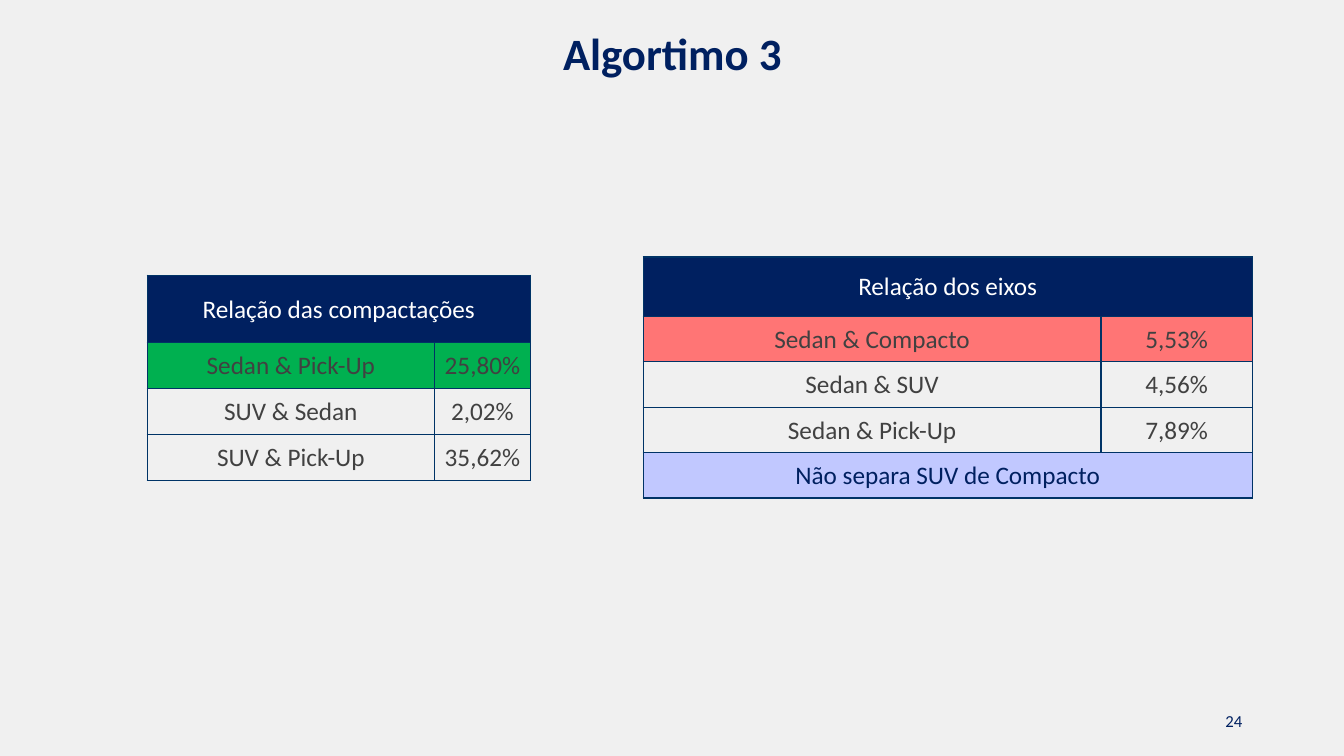
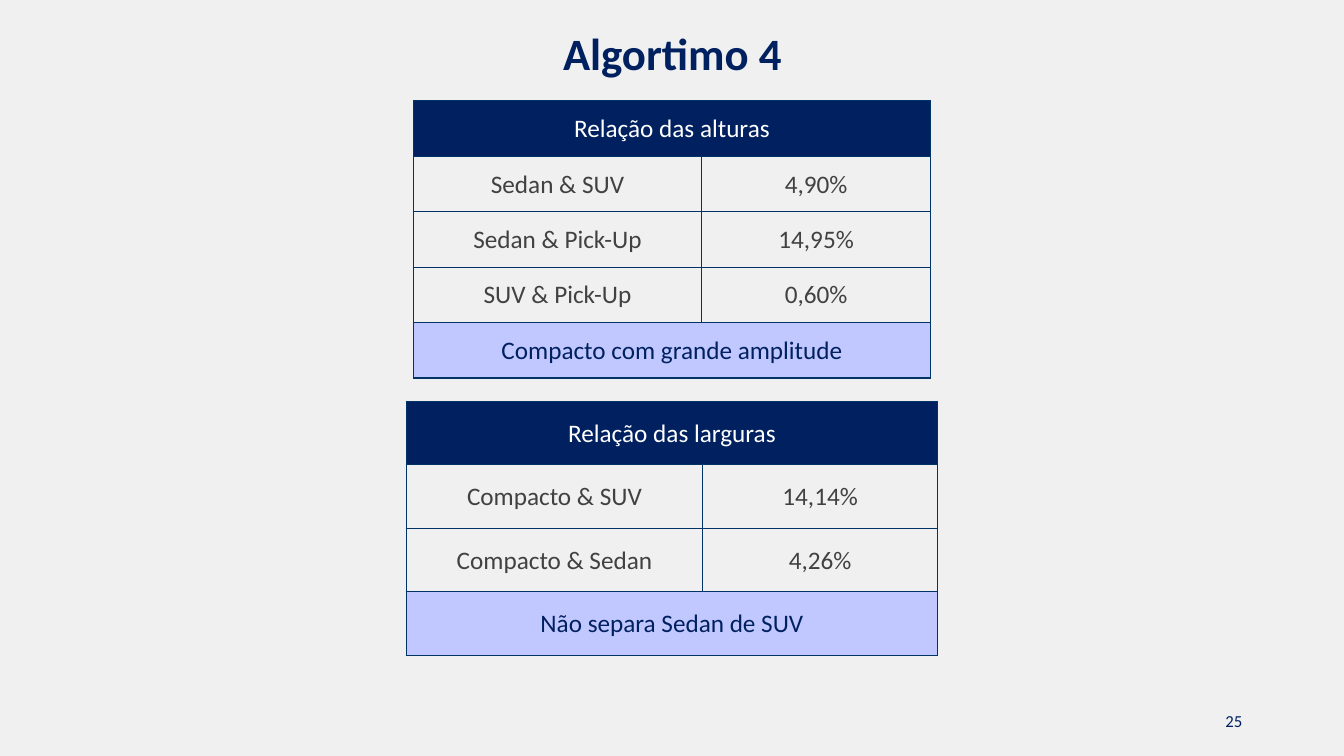
from dataclasses import dataclass

from lxml import etree
from pptx import Presentation
from pptx.dml.color import RGBColor
from pptx.enum.text import MSO_ANCHOR, PP_ALIGN
from pptx.oxml.ns import qn
from pptx.util import Inches, Pt

# Shared look
NAVY = RGBColor(0x00, 0x20, 0x60)
EDGE = RGBColor(0x00, 0x33, 0x66)
GRAY = RGBColor(0x41, 0x41, 0x41)
WHITE = RGBColor(0xFF, 0xFF, 0xFF)
PAPER = RGBColor(0xF0, 0xF0, 0xF0)
GREEN = RGBColor(0x00, 0xB0, 0x50)
RED = RGBColor(0xFF, 0x75, 0x75)
LILAC = RGBColor(0xC1, 0xC8, 0xFF)

CENTER, RIGHT = PP_ALIGN.CENTER, PP_ALIGN.RIGHT
TOP, MIDDLE = MSO_ANCHOR.TOP, MSO_ANCHOR.MIDDLE
SIDES = ("a:lnL", "a:lnR", "a:lnT", "a:lnB")

TITLE = {"name": "Calibri", "size": Pt(32), "bold": True}
BODY = {"name": "Calibri", "size": Pt(18), "bold": False}
FOOT = {"name": "Calibri", "size": Pt(12), "bold": False}
CELL = {
    "vertical_anchor": MIDDLE,
    "margin_left": Inches(0.01),
    "margin_right": Inches(0.01),
    "margin_top": Inches(0.01),
    "margin_bottom": 0,
}
PLAIN = {"first_row": False, "horz_banding": False}


@dataclass
class Row:
    """One table row; a single text spans both columns."""
    texts: tuple[str, ...]
    fill: RGBColor | None = None
    color: RGBColor = GRAY


@dataclass
class Grid:
    left: float
    top: float
    cols: tuple[float, float]
    head: float
    step: float
    rows: list[Row]


@dataclass
class Page:
    title: str
    number: int
    grids: list[Grid]


def header(text: str) -> Row:
    return Row((text,), NAVY, WHITE)


def note(text: str) -> Row:
    return Row((text,), LILAC, NAVY)


# Content
PAGES = [
    Page("Algortimo 3", 24, [
        Grid(1.46, 2.73, (2.85, 0.95), 0.67, 0.455, [
            header("Relação das compactações"),
            Row(("Sedan & Pick-Up", "25,80%"), GREEN),
            Row(("SUV & Sedan", "2,02%")),
            Row(("SUV & Pick-Up", "35,62%")),
        ]),
        Grid(6.38, 2.55, (4.54, 1.5), 0.59, 0.45, [
            header("Relação dos eixos"),
            Row(("Sedan & Compacto", "5,53%"), RED),
            Row(("Sedan & SUV", "4,56%")),
            Row(("Sedan & Pick-Up", "7,89%")),
            note("Não separa SUV de Compacto"),
        ]),
    ]),
    Page("Algortimo 4", 25, [
        Grid(4.1, 1, (2.86, 2.27), 0.55, 0.55, [
            header("Relação das alturas"),
            Row(("Sedan & SUV", "4,90%")),
            Row(("Sedan & Pick-Up", "14,95%")),
            Row(("SUV & Pick-Up", "0,60%")),
            note("Compacto com grande amplitude"),
        ]),
        Grid(4.03, 3.98, (2.94, 2.33), 0.63, 0.63, [
            header("Relação das larguras"),
            Row(("Compacto & SUV", "14,14%")),
            Row(("Compacto & Sedan", "4,26%")),
            note("Não separa Sedan de SUV"),
        ]),
    ]),
]


# Drawing
def apply(target, values: dict) -> None:
    for name, value in values.items():
        setattr(target, name, value)


def write(frame, text: str, font: dict, color: RGBColor, align) -> None:
    para = frame.paragraphs[0]
    para.alignment = align
    run = para.add_run()
    run.text = text
    apply(run.font, font)
    run.font.color.rgb = color


def label(slide, box: tuple, text: str, font: dict, align, anchor) -> None:
    frame = slide.shapes.add_textbox(*map(Inches, box)).text_frame
    apply(frame, {"word_wrap": True, "vertical_anchor": anchor})
    write(frame, text, font, NAVY, align)


def border(cell) -> None:
    props = cell._tc.get_or_add_tcPr()
    for spot, side in enumerate(SIDES):
        line = etree.Element(qn(side), w=str(Pt(1)))
        solid = etree.SubElement(line, qn("a:solidFill"))
        etree.SubElement(solid, qn("a:srgbClr"), val=str(EDGE))
        props.insert(spot, line)


def style(cell, fill: RGBColor | None) -> None:
    apply(cell, CELL)
    if fill is None:
        cell.fill.background()
    else:
        cell.fill.solid()
        cell.fill.fore_color.rgb = fill
    border(cell)


def draw(slide, grid: Grid) -> None:
    highs = [grid.head] + [grid.step] * (len(grid.rows) - 1)
    box = (grid.left, grid.top, sum(grid.cols), sum(highs))
    table = slide.shapes.add_table(
        len(highs), len(grid.cols), *map(Inches, box)).table
    apply(table, PLAIN)
    for col, width in zip(table.columns, grid.cols):
        col.width = Inches(width)
    for line, high, row in zip(table.rows, highs, grid.rows):
        line.height = Inches(high)
        cells = list(line.cells)
        for cell in cells:
            style(cell, row.fill)
        if len(row.texts) == 1:
            cells[0].merge(cells[-1])
        for cell, text in zip(cells, row.texts):
            write(cell.text_frame, text, BODY, row.color, CENTER)


def build(deck, page: Page) -> None:
    slide = deck.slides.add_slide(deck.slide_layouts[6])
    back = slide.background.fill
    back.solid()
    back.fore_color.rgb = PAPER
    label(slide, (9.42, 6.95, 3, 0.4), str(page.number), FOOT, RIGHT, MIDDLE)
    for grid in page.grids:
        draw(slide, grid)
    label(slide, (1.17, 0.21, 11, 0.64), page.title, TITLE, CENTER, TOP)


def main() -> None:
    deck = Presentation()
    apply(deck, {"slide_width": Inches(13.33), "slide_height": Inches(7.5)})
    for page in PAGES:
        build(deck, page)
    deck.save("out.pptx")


if __name__ == "__main__":
    main()
